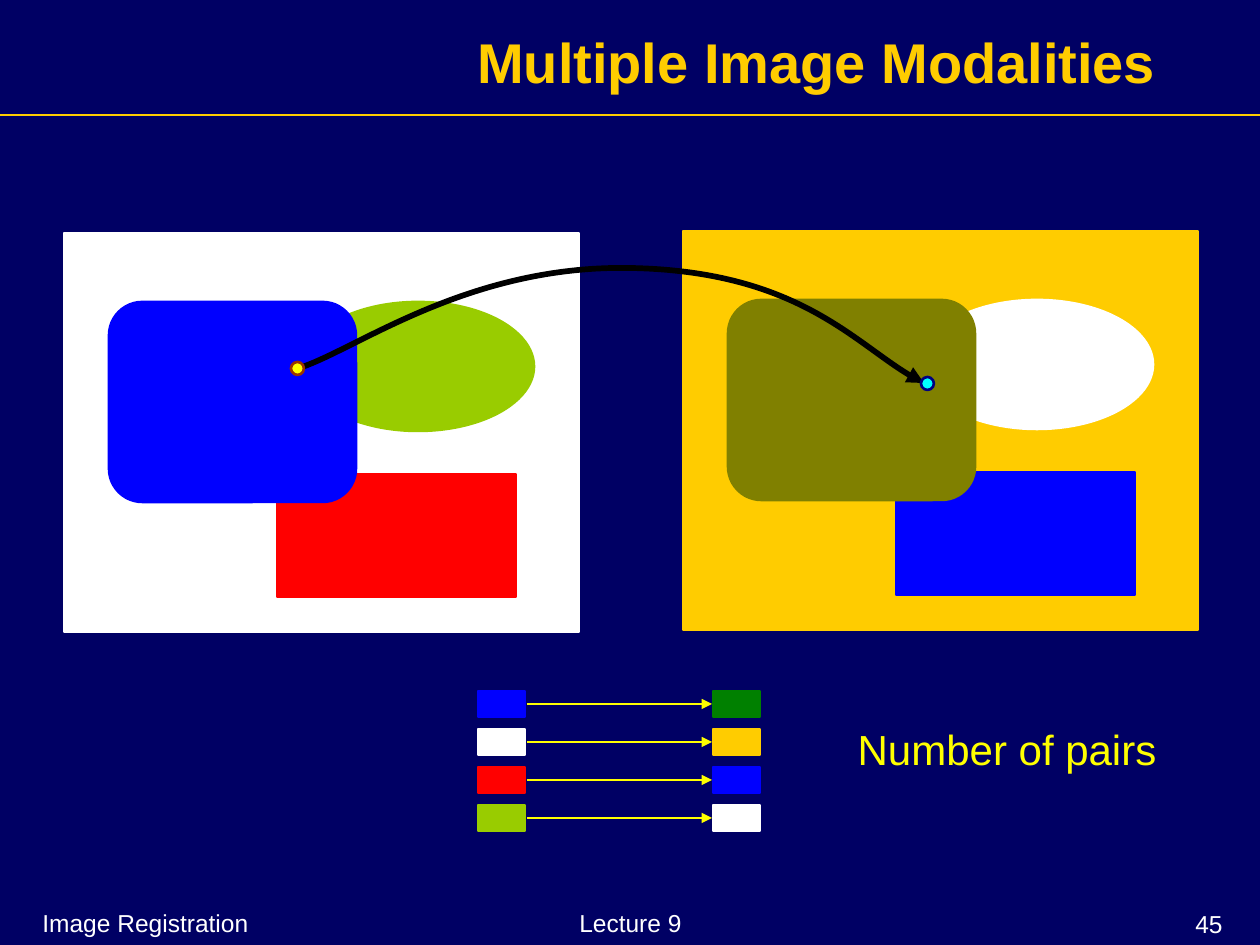
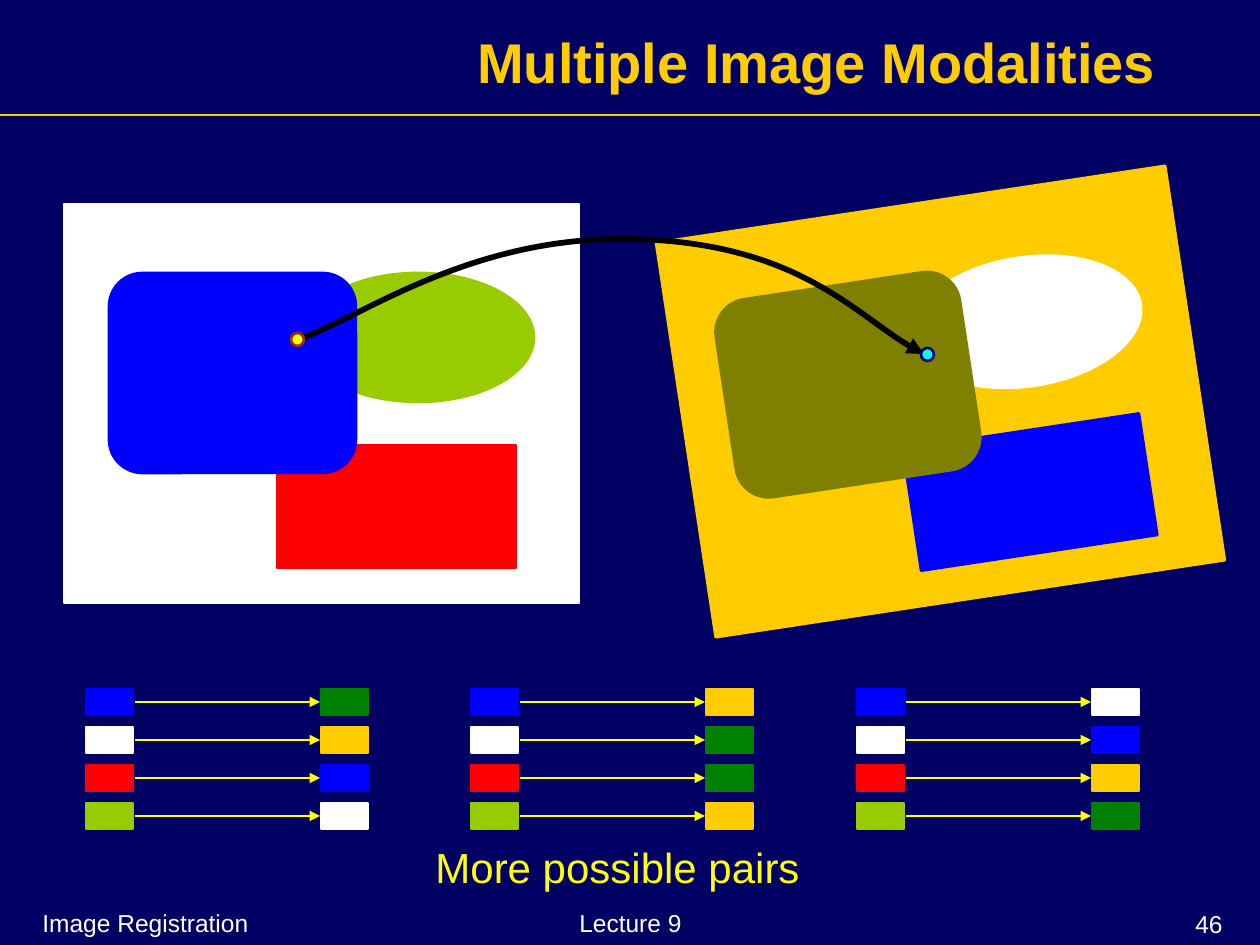
import math

import lxml.etree
import pptx
import pptx.dml.color
import pptx.enum.shapes
import pptx.enum.text
import pptx.oxml.ns
import pptx.util

RGB = pptx.dml.color.RGBColor
SHAPE = pptx.enum.shapes.MSO_SHAPE
ALIGN = pptx.enum.text.PP_ALIGN
qn = pptx.oxml.ns.qn

EMU_PER_PX = 914400 / 126
SLIDE_W, SLIDE_H = 1260, 945
FONT = "Arial"

NIGHT = RGB(0x00, 0x00, 0x64)
NAVY = RGB(0x00, 0x00, 0x80)
BLUE = RGB(0x00, 0x00, 0xFF)
CYAN = RGB(0x00, 0xFF, 0xFF)
GREEN = RGB(0x00, 0x80, 0x00)
LIME = RGB(0x99, 0xCC, 0x00)
OLIVE = RGB(0x80, 0x80, 0x00)
GOLD = RGB(0xFF, 0xCC, 0x00)
YELLOW = RGB(0xFF, 0xFF, 0x00)
RED = RGB(0xFF, 0x00, 0x00)
BROWN = RGB(0x99, 0x33, 0x00)
BLACK = RGB(0x00, 0x00, 0x00)
WHITE = RGB(0xFF, 0xFF, 0xFF)

SCENE_PARTS = [
    (SHAPE.RECTANGLE, 0, 0, 515, 399),
    (SHAPE.OVAL, 238, 69, 232, 129),
    (SHAPE.RECTANGLE, 213, 241, 239, 123),
    (SHAPE.ROUNDED_RECTANGLE, 45, 69, 247, 200),
]
FIRST_SCENE = [WHITE, LIME, RED, BLUE]
SECOND_SCENE = [GOLD, WHITE, BLUE, OLIVE]
MAPPING_CURVE = [(296, 136), (352, 120), (464, 32), (630, 35),
                 (796, 38), (863, 120), (924, 150)]

PAIR_SOURCES = [BLUE, WHITE, RED, LIME]
FIRST_PAIRING = [GREEN, GOLD, BLUE, WHITE]
SECOND_PAIRING = [GOLD, GREEN, GREEN, GOLD]
THIRD_PAIRING = [WHITE, BLUE, GOLD, GREEN]
SWATCH_W, SWATCH_H = 47, 26
PAIR_SPAN, PAIR_PITCH = 235, 38


def px(length):
    """Turn pixels into EMU."""
    return pptx.util.Emu(round(length * EMU_PER_PX))


def write(frame, text, size, color, align, bold=False):
    """Put one formatted paragraph into a text frame."""
    frame.text = text
    paragraph = frame.paragraphs[0]
    paragraph.alignment = align
    paragraph.font.name = FONT
    paragraph.font.size = pptx.util.Pt(size)
    paragraph.font.bold = bold
    paragraph.font.color.rgb = color


def add_label(slide, text, box, size, color, align):
    """Add a text box holding one line of text."""
    label = slide.shapes.add_textbox(*map(px, box))
    label.text_frame.word_wrap = True
    write(label.text_frame, text, size, color, align)
    return label


def add_caption(slide, text, box):
    """Add the yellow remark on the colour pairs."""
    frame = add_label(slide, text, box, 24, YELLOW, ALIGN.CENTER).text_frame
    frame.word_wrap = False
    frame.auto_size = pptx.enum.text.MSO_AUTO_SIZE.SHAPE_TO_FIT_TEXT
    frame.paragraphs[0].line_spacing = 0.8


def add_figure(shapes, kind, box, fill, outline=None):
    """Add a flat preset shape, outlined in its own colour by default."""
    figure = shapes.add_shape(kind, *map(px, box))
    figure.shadow.inherit = False
    figure.fill.solid()
    figure.fill.fore_color.rgb = fill
    figure.line.color.rgb = outline or fill
    figure.line.width = pptx.util.Pt(1.5)
    return figure


def add_arrowhead(shape):
    """Put a triangle at the end of a shape's line."""
    stroke = shape._element.spPr.find(qn("a:ln"))
    lxml.etree.SubElement(stroke, qn("a:tailEnd"), type="triangle")


def add_line(shapes, start, end, color):
    """Add a straight line without shadow."""
    straight = pptx.enum.shapes.MSO_CONNECTOR.STRAIGHT
    rule = shapes.add_connector(straight, *map(px, start + end))
    rule.line.color.rgb = color
    rule.line.width = pptx.util.Pt(1.5)
    lxml.etree.SubElement(rule._element.spPr, qn("a:effectLst"))
    return rule


def add_scene(slide, left, top, colors, rotation=0):
    """Add one image of the scene, turned about the centre of its frame."""
    scene = slide.shapes.add_group_shape().shapes
    frame_w, frame_h = SCENE_PARTS[0][3:]
    cos, sin = math.cos(math.radians(rotation)), math.sin(math.radians(rotation))
    for (kind, x, y, w, h), color in zip(SCENE_PARTS, colors):
        dx, dy = x + (w - frame_w) / 2, y + (h - frame_h) / 2
        part_left = left + (frame_w - w) / 2 + dx * cos - dy * sin
        part_top = top + (frame_h - h) / 2 + dx * sin + dy * cos
        part = add_figure(scene, kind, (part_left, part_top, w, h), color)
        part.rotation = rotation


def add_mapping(slide, top):
    """Add the curved arrow between corresponding points, and the points."""
    (start_x, start_y), *controls = [(x, top + y) for x, y in MAPPING_CURVE]
    builder = slide.shapes.build_freeform(start_x, start_y, scale=EMU_PER_PX)
    builder.add_line_segments(controls, close=False)
    curve = builder.convert_to_shape()
    outline = curve._element.find(".//" + qn("a:path"))
    segments = outline.findall(qn("a:lnTo"))
    for first in range(0, len(segments), 3):
        bezier = lxml.etree.SubElement(outline, qn("a:cubicBezTo"))
        for segment in segments[first:first + 3]:
            bezier.append(segment[0])
            outline.remove(segment)
    curve.shadow.inherit = False
    curve.fill.background()
    curve.line.color.rgb = BLACK
    curve.line.width = pptx.util.Pt(3.25)
    add_arrowhead(curve)
    add_figure(slide.shapes, SHAPE.OVAL, (921, top + 144, 13, 13), CYAN, NAVY)
    add_figure(slide.shapes, SHAPE.OVAL, (291, top + 129, 13, 13), YELLOW, BROWN)


def add_pairing(slide, left, top, targets):
    """Add a column of colour pairs joined by arrows."""
    for row, (source, target) in enumerate(zip(PAIR_SOURCES, targets)):
        pair = slide.shapes.add_group_shape().shapes
        y = top + row * PAIR_PITCH
        for x, color in ((left, source), (left + PAIR_SPAN, target)):
            add_figure(pair, SHAPE.RECTANGLE, (x, y, SWATCH_W, SWATCH_H), color)
        middle = y + SWATCH_H // 2
        arrow = add_line(pair, (left + SWATCH_W + 2, middle),
                         (left + PAIR_SPAN - 1, middle), YELLOW)
        add_arrowhead(arrow)


def add_modality_slide(deck, number, scene_top, rotation):
    """Add a slide with title, rule, footers and the two mapped scenes."""
    slide = deck.slides.add_slide(deck.slide_layouts[5])
    add_line(slide.shapes, (0, 115), (SLIDE_W, 115), GOLD)
    title = slide.shapes.title
    title.left, title.top, title.width, title.height = map(px, (181, 8, 988, 107))
    title.text_frame.vertical_anchor = pptx.enum.text.MSO_ANCHOR.MIDDLE
    title.text_frame.auto_size = pptx.enum.text.MSO_AUTO_SIZE.NONE
    write(title.text_frame, "Multiple Image Modalities", 32, GOLD, ALIGN.RIGHT, True)
    for text, box, align in (
        ("Image Registration", (30, 902, 262, 42), ALIGN.LEFT),
        ("Lecture 9", (431, 902, 399, 42), ALIGN.CENTER),
        (str(number), (973, 903, 262, 42), ALIGN.RIGHT),
    ):
        add_label(slide, text, box, 14, WHITE, align)
    add_scene(slide, 64, scene_top, FIRST_SCENE)
    add_scene(slide, 683, scene_top - 2, SECOND_SCENE, rotation)
    add_mapping(slide, scene_top)
    return slide


def main():
    """Build both slides and save them."""
    deck = pptx.Presentation()
    deck.slide_width, deck.slide_height = px(SLIDE_W), px(SLIDE_H)
    background = deck.slide_master.background.fill
    background.solid()
    background.fore_color.rgb = NIGHT

    aligned = add_modality_slide(deck, 45, 233, 0)
    add_pairing(aligned, 478, 691, FIRST_PAIRING)
    add_caption(aligned, "Number of pairs", (845, 727, 324, 53))

    rotated = add_modality_slide(deck, 46, 204, -8.6)
    pairings = (FIRST_PAIRING, SECOND_PAIRING, THIRD_PAIRING)
    for left, targets in zip((86, 471, 857), pairings):
        add_pairing(rotated, left, 689, targets)
    add_caption(rotated, "More possible pairs", (423, 845, 389, 53))

    deck.save("out.pptx")


if __name__ == "__main__":
    main()
